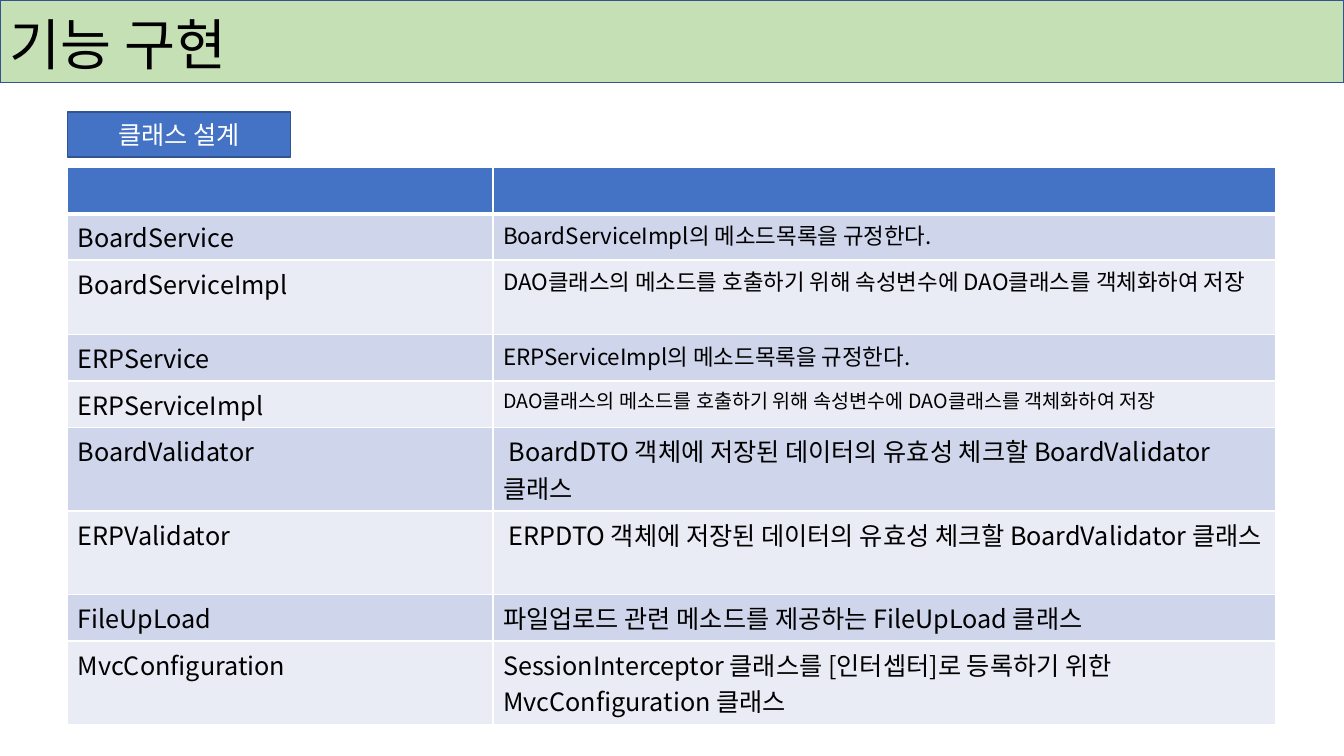
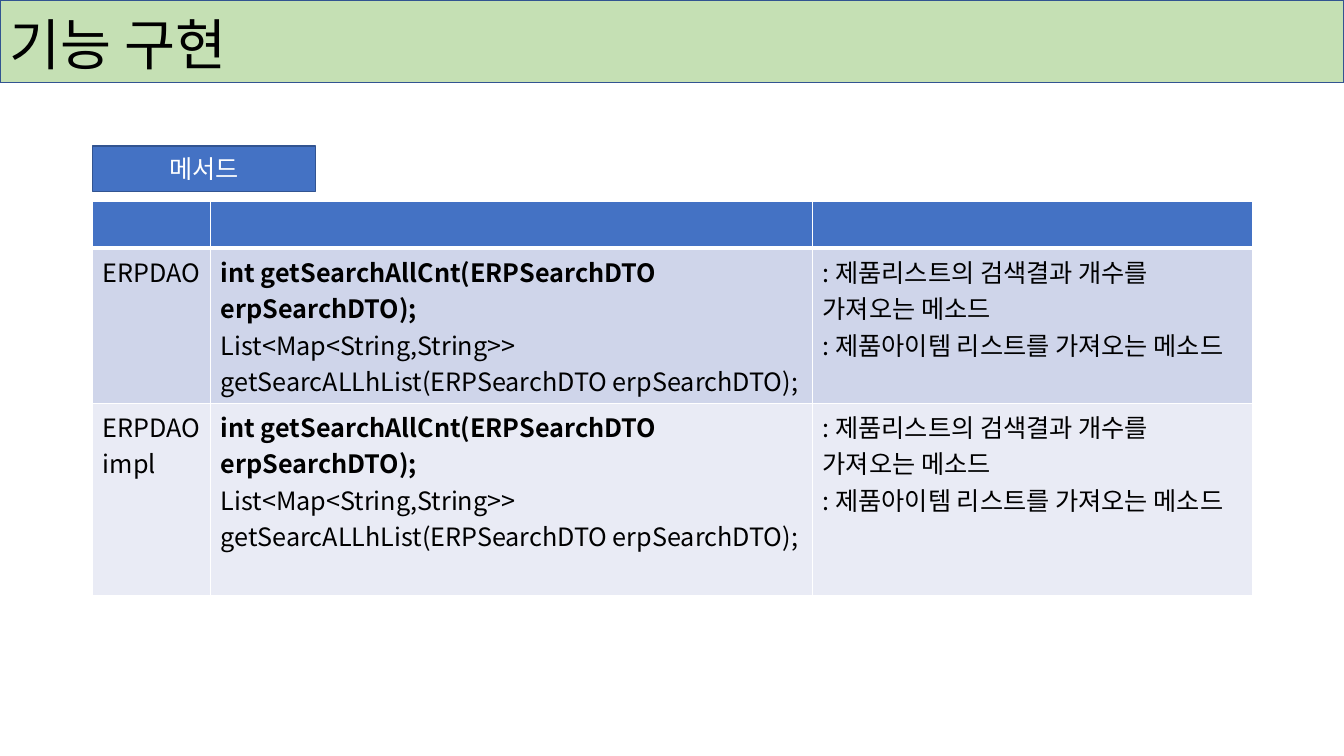
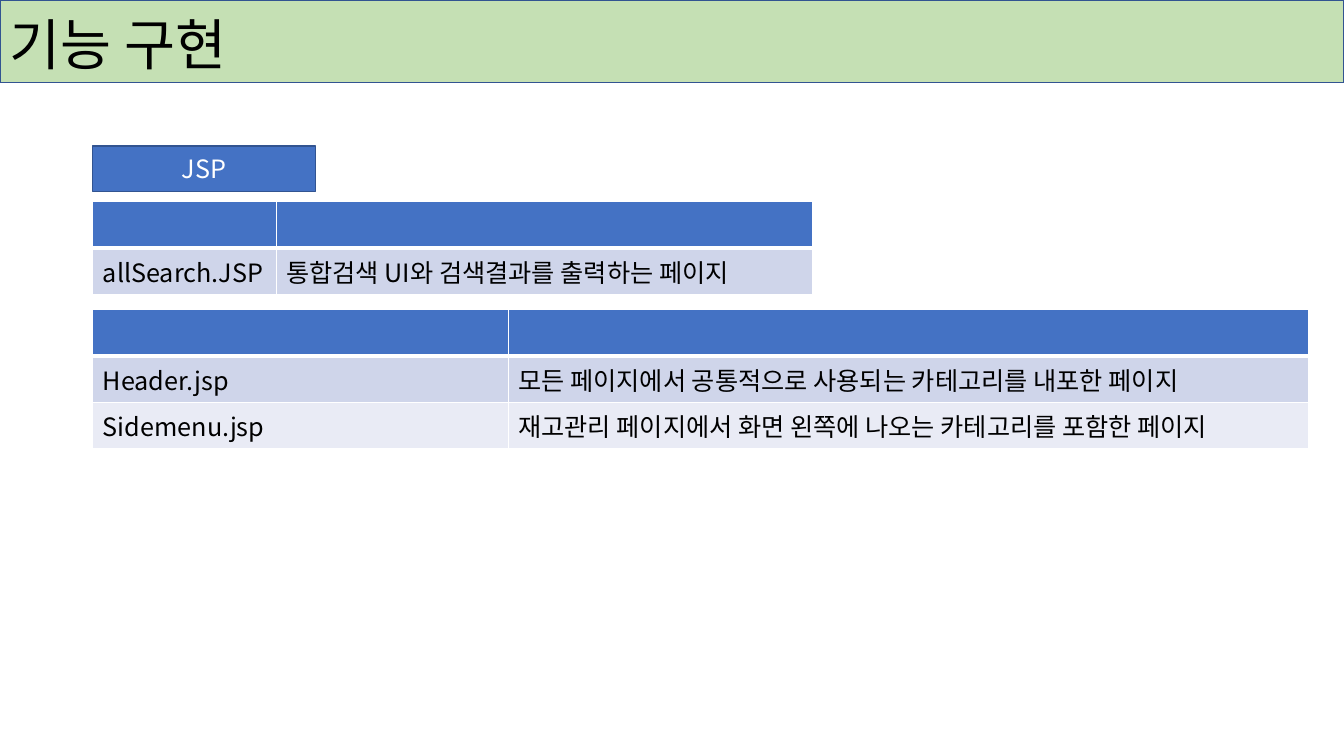
from dataclasses import dataclass

import pptx
import pptx.dml.color
import pptx.enum.shapes
import pptx.enum.text
import pptx.oxml
import pptx.oxml.ns
import pptx.presentation
import pptx.shapes.autoshape
import pptx.slide
import pptx.table
import pptx.text.text
import pptx.util

RGBColor = pptx.dml.color.RGBColor
Inches = pptx.util.Inches
Pt = pptx.util.Pt
Anchor = pptx.enum.text.MSO_ANCHOR
Align = pptx.enum.text.PP_ALIGN

GREEN = RGBColor(0xC5, 0xE0, 0xB4)
BLUE = RGBColor(0x44, 0x72, 0xC4)
NAVY = RGBColor(0x32, 0x54, 0x91)
WHITE = RGBColor(0xFF, 0xFF, 0xFF)
BLACK = RGBColor(0x00, 0x00, 0x00)
STRIPES = (RGBColor(0xCF, 0xD5, 0xEA), RGBColor(0xE9, 0xEB, 0xF5))

FONT = "Noto Sans CJK KR"
TITLE = "기능 구현"
WIDTH = Inches(13.33)
ROW = Inches(0.46)


@dataclass(frozen=True)
class Line:
    text: str
    size: float = 18
    bold: bool = False


@dataclass(frozen=True)
class Grid:
    """A table with a blank head row; each cell is a tuple of lines."""
    left: float
    top: float
    cols: tuple[float, ...]
    rows: tuple[tuple[tuple[Line, ...], ...], ...]
    highs: tuple[float, ...]


@dataclass(frozen=True)
class Page:
    label: str
    left: float
    top: float
    grids: tuple[Grid, ...]


def pair(name: str, note: str, size: float = 18) -> tuple[tuple[Line, ...], ...]:
    return (Line(name),), (Line(note, size),)


SAVE = "DAO클래스의 메소드를 호출하기 위해 속성변수에 DAO클래스를 객체화하여 저장"
CALLS = (
    Line("int getSearchAllCnt(ERPSearchDTO erpSearchDTO);", bold=True),
    Line("List<Map<String,String>> getSearcALLhList(ERPSearchDTO erpSearchDTO);"),
)
NOTES = (
    Line(": 제품리스트의 검색결과 개수를 가져오는 메소드"),
    Line(": 제품아이템 리스트를 가져오는 메소드"),
)

PAGES = (
    Page("클래스 설계", 0.67, 1.11, (
        Grid(0.67, 1.66, (4.22, 7.76), (
            pair("BoardService", "BoardServiceImpl의 메소드목록을 규정한다.", 16),
            pair("BoardServiceImpl", SAVE, 16),
            pair("ERPService", "ERPServiceImpl의 메소드목록을 규정한다.", 16),
            pair("ERPServiceImpl", SAVE, 14),
            pair("BoardValidator",
                 " BoardDTO 객체에 저장된 데이터의 유효성 체크할 BoardValidator 클래스"),
            pair("ERPValidator",
                 " ERPDTO 객체에 저장된 데이터의 유효성 체크할 BoardValidator 클래스"),
            pair("FileUpLoad", "파일업로드 관련 메소드를 제공하는 FileUpLoad 클래스"),
            pair("MvcConfiguration",
                 "SessionInterceptor 클래스를 [인터셉터]로 등록하기 위한 MvcConfiguration 클래스"),
        ), (0.46, 0.74, 0.46, 0.46, 0.83, 0.83, 0.46, 0.83)),
    )),
    Page("메서드", 0.92, 1.45, (
        Grid(0.92, 2, (1.17, 5.97, 4.36), (
            ((Line("ERPDAO"),), CALLS, NOTES),
            ((Line("ERPDAOimpl"),), CALLS, NOTES),
        ), (1.54, 1.91)),
    )),
    Page("JSP", 0.92, 1.45, (
        Grid(0.92, 2, (1.82, 5.32), (
            pair("allSearch.JSP", "통합검색 UI와 검색결과를 출력하는 페이지"),
        ), (0.46,)),
        Grid(0.92, 3.07, (4.12, 7.94), (
            pair("Header.jsp", "모든 페이지에서 공통적으로 사용되는 카테고리를 내포한 페이지"),
            pair("Sidemenu.jsp", "재고관리 페이지에서 화면 왼쪽에 나오는 카테고리를 포함한 페이지"),
        ), (0.46, 0.46)),
    )),
)


def write(frame: pptx.text.text.TextFrame, lines: tuple[Line, ...],
          color: RGBColor = BLACK) -> None:
    for place, line in enumerate(lines):
        para = frame.add_paragraph() if place else frame.paragraphs[0]
        run = para.add_run()
        run.text = line.text
        run.font.color.rgb = color
        form = {"name": FONT, "size": Pt(line.size), "bold": line.bold}
        for key, value in form.items():
            setattr(run.font, key, value)
        east = pptx.oxml.parse_xml(
            f'<a:ea {pptx.oxml.ns.nsdecls("a")} typeface="{FONT}"/>')
        run._r.get_or_add_rPr().append(east)


def add_box(slide: pptx.slide.Slide, left: int, top: int, width: int,
            height: int, fill: RGBColor) -> pptx.shapes.autoshape.Shape:
    box = slide.shapes.add_shape(
        pptx.enum.shapes.MSO_SHAPE.RECTANGLE, left, top, width, height)
    box.shadow.inherit = False
    box.fill.solid()
    box.fill.fore_color.rgb = fill
    box.line.color.rgb = NAVY
    box.line.width = Pt(1)
    return box


def add_title(slide: pptx.slide.Slide) -> None:
    add_box(slide, 0, 0, WIDTH, Inches(0.82), GREEN)
    box = slide.shapes.add_textbox(0, Inches(0.13), Inches(11.5), Inches(0.69))
    frame = box.text_frame
    frame.word_wrap = True
    frame.vertical_anchor = Anchor.MIDDLE
    write(frame, (Line(TITLE, 39.6),))
    frame.paragraphs[0].line_spacing = 0.9


def add_label(slide: pptx.slide.Slide, page: Page) -> None:
    box = add_box(slide, Inches(page.left), Inches(page.top),
                  Inches(2.21), Inches(0.45), BLUE)
    frame = box.text_frame
    frame.vertical_anchor = Anchor.MIDDLE
    write(frame, (Line(page.label),), WHITE)
    frame.paragraphs[0].alignment = Align.CENTER


def paint(cell: pptx.table._Cell, fill: RGBColor, base: float) -> None:
    """Fill a cell and rule it in white, with its lower edge base points wide."""
    props = cell._tc.get_or_add_tcPr()
    for side, width in {"L": 1, "R": 1, "T": 1, "B": base}.items():
        props.append(pptx.oxml.parse_xml(
            f'<a:ln{side} {pptx.oxml.ns.nsdecls("a")} w="{Pt(width)}">'
            f'<a:solidFill><a:srgbClr val="{WHITE}"/></a:solidFill></a:ln{side}>'))
    cell.fill.solid()
    cell.fill.fore_color.rgb = fill


def add_grid(slide: pptx.slide.Slide, grid: Grid) -> None:
    highs = (ROW, *map(Inches, grid.highs))
    table = slide.shapes.add_table(
        len(highs), len(grid.cols), Inches(grid.left), Inches(grid.top),
        Inches(sum(grid.cols)), sum(highs)).table
    for col, width in zip(table.columns, grid.cols):
        col.width = Inches(width)
    for row, high in zip(table.rows, highs):
        row.height = high
    for cell in table.rows[0].cells:
        paint(cell, BLUE, 3)
    for place, texts in enumerate(grid.rows):
        for cell, lines in zip(table.rows[place + 1].cells, texts):
            paint(cell, STRIPES[place % 2], 1)
            write(cell.text_frame, lines)


def add_page(deck: pptx.presentation.Presentation, page: Page) -> None:
    slide = deck.slides.add_slide(deck.slide_layouts[6])
    add_title(slide)
    add_label(slide, page)
    for grid in page.grids:
        add_grid(slide, grid)


def main() -> None:
    deck = pptx.Presentation()
    deck.slide_width = WIDTH
    deck.slide_height = Inches(7.5)
    for page in PAGES:
        add_page(deck, page)
    deck.save("out.pptx")


if __name__ == "__main__":
    main()
